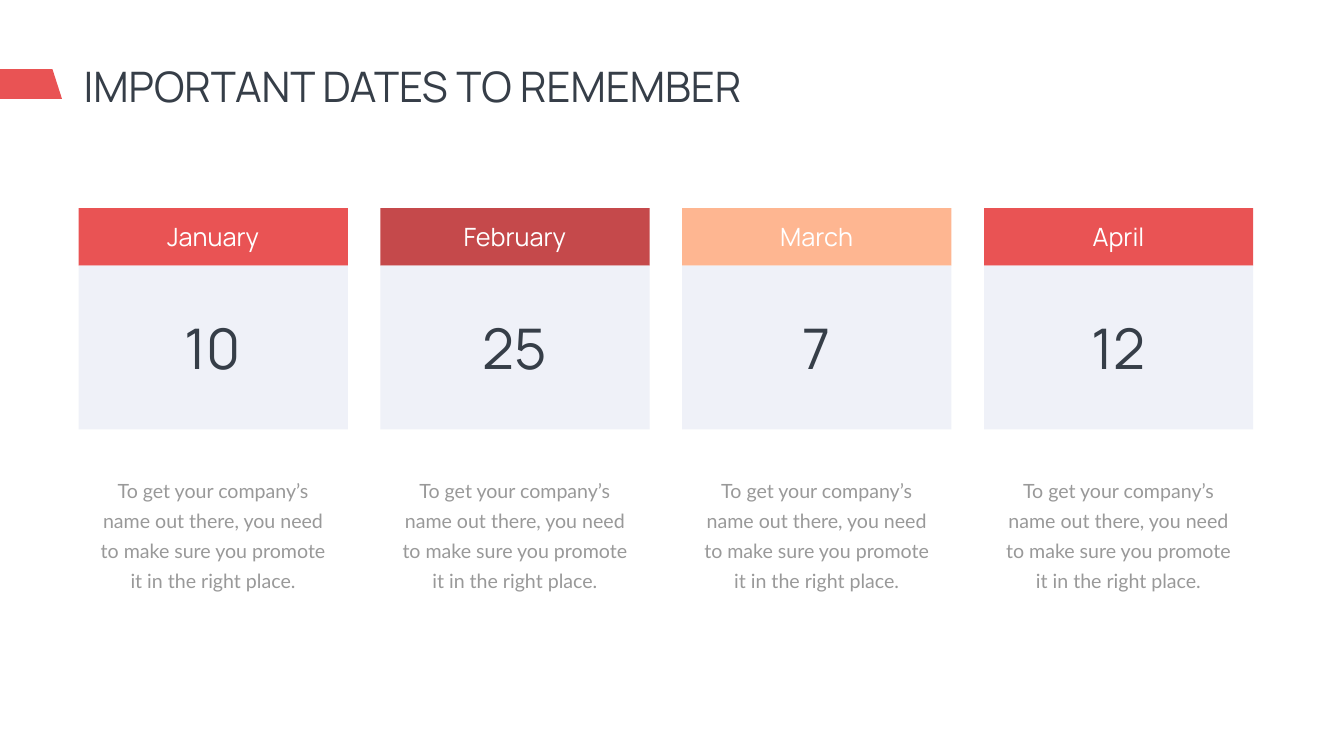
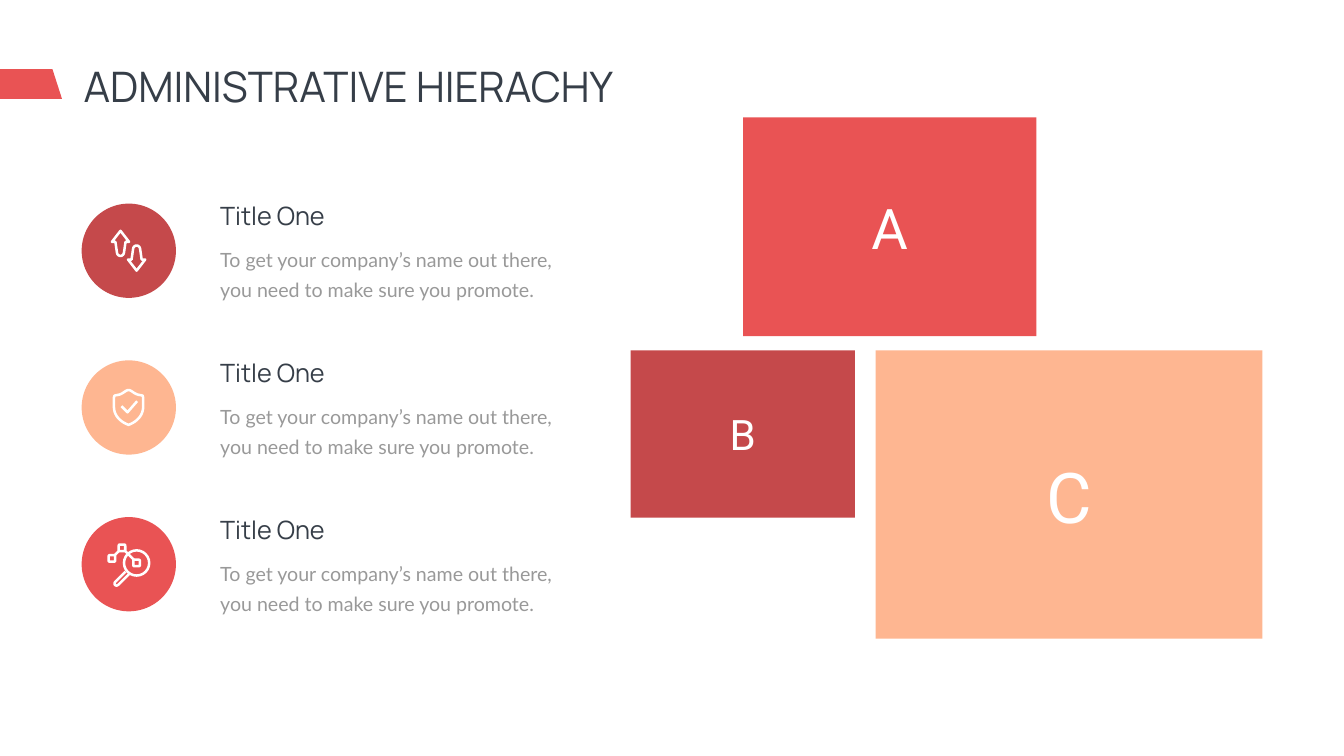
from dataclasses import dataclass

from lxml.etree import SubElement
from pptx import Presentation
from pptx.dml.color import RGBColor
from pptx.enum.shapes import MSO_CONNECTOR, MSO_SHAPE
from pptx.enum.text import MSO_AUTO_SIZE, PP_ALIGN
from pptx.oxml.ns import qn
from pptx.util import Inches, Pt


@dataclass(frozen=True)
class Theme:
    red: str = "E95354"
    crimson: str = "C5494B"
    peach: str = "FEB691"
    pale: str = "EFF1F8"
    dark: str = "363E48"
    grey: str = "999999"
    white: str = "FFFFFF"
    heading_font: str = "Manrope"
    body_font: str = "Lato"
    letter_font: str = "Roboto"
    title_size: int = 60
    label_size: int = 36
    day_size: int = 80
    body_size: int = 28
    body_leading: int = 43
    stroke: float = 3.6


T = Theme()

CARDS = [("January", "10", T.red), ("February", "25", T.crimson),
         ("March", "7", T.peach), ("April", "12", T.red)]
CARD_TEXT = ("To get your company’s name out there, you need to make sure "
             "you promote it in the right place.")
ITEM_TITLE = "Title One"
ITEM_TEXT = "To get your company’s name out there, you need to make sure you promote."
BLOCKS = [("C", 100, T.peach, (17.37, 6.95, 7.67, 5.72)),
          ("B", 60, T.crimson, (12.51, 6.95, 4.45, 3.32)),
          ("A", 80, T.red, (14.74, 2.33, 5.82, 4.34))]


def rgb(color):
    return RGBColor.from_string(color)


def style(sp, fill=None, line=None):
    sp.shadow.inherit = False
    if fill:
        sp.fill.solid()
        sp.fill.fore_color.rgb = rgb(fill)
    else:
        sp.fill.background()
    if line:
        sp.line.color.rgb = rgb(line)
        sp.line.width = Pt(T.stroke)
    else:
        sp.line.fill.background()


def add_preset(shapes, kind, box, fill=None, line=None):
    sp = shapes.add_shape(kind, *map(Inches, box))
    style(sp, fill, line)
    return sp


def add_outline(shapes, points, origin=(0, 0), fill=None, line=None, close=True):
    """Draw a polygon or open path whose points are inches from origin."""
    pts = [(Inches(origin[0] + x), Inches(origin[1] + y)) for x, y in points]
    builder = shapes.build_freeform(*pts[0])
    builder.add_line_segments(pts[1:], close=close)
    style(builder.convert_to_shape(), fill, line)


def add_line(shapes, start, end):
    cx = shapes.add_connector(MSO_CONNECTOR.STRAIGHT, *map(Inches, (*start, *end)))
    cx.line.color.rgb = rgb(T.white)
    cx.line.width = Pt(T.stroke)
    SubElement(cx._element.spPr, qn("a:effectLst"))


def add_text(shapes, box, text, size, color, font=T.heading_font,
             align=PP_ALIGN.LEFT, leading=None, wrap=True):
    tf = shapes.add_textbox(*map(Inches, box)).text_frame
    tf.word_wrap = wrap
    tf.auto_size = MSO_AUTO_SIZE.SHAPE_TO_FIT_TEXT
    p = tf.paragraphs[0]
    p.alignment = align
    if leading:
        p.line_spacing = Pt(leading)
    r = p.add_run()
    r.text = text
    r.font.name = font
    r.font.size = Pt(size)
    r.font.color.rgb = rgb(color)


def add_body(shapes, box, text, align=PP_ALIGN.LEFT):
    add_text(shapes, box, text, T.body_size, T.grey, T.body_font, align, T.body_leading)


def curve(p0, p1, p2, p3, steps=10):
    """Points along a cubic curve."""
    def at(t, axis):
        u = 1 - t
        return (u ** 3 * p0[axis] + 3 * u * u * t * p1[axis]
                + 3 * u * t * t * p2[axis] + t ** 3 * p3[axis])
    return [(at(i / steps, 0), at(i / steps, 1)) for i in range(steps + 1)]


def add_titled_slide(prs, title):
    s = prs.slides.add_slide(prs.slide_layouts[6])
    add_text(s.shapes, (1.56, 1.16, 15.5, 1.11), title, T.title_size, T.dark)
    add_outline(s.shapes, [(1.04, 0), (0, 0), (0, 0.59), (1.23, 0.59)],
                origin=(0, 1.37), fill=T.red)
    return s


def add_date_card(shapes, x, y, width, month, day, color):
    head = 1.14
    center = PP_ALIGN.CENTER
    add_preset(shapes, MSO_SHAPE.RECTANGLE, (x, y, width, head), color)
    add_preset(shapes, MSO_SHAPE.RECTANGLE, (x, y + head, width, 3.25), T.pale)
    add_body(shapes, (x + 0.19, y + 5.19, width - 0.39, 2.46), CARD_TEXT, center)
    inner = x + 0.57, width - 1.15
    add_text(shapes, (inner[0], y + 0.22, inner[1], 0.71), month,
             T.label_size, T.white, align=center)
    add_text(shapes, (inner[0], y + 2.04, inner[1], 1.45), day,
             T.day_size, T.dark, align=center)


def draw_arrows(shapes, x, y):
    up = [(0.2, 0.03), (0.37, 0.25), (0.3, 0.25),
          *curve((0.27, 0.46), (0.26, 0.55), (0.14, 0.55), (0.13, 0.46)),
          (0.1, 0.25), (0.03, 0.25)]
    down = [(0.4 - px, 0.55 - py) for px, py in up]
    add_outline(shapes, up, (x + 0.57, y + 0.51), line=T.white)
    add_outline(shapes, down, (x + 0.89, y + 0.81), line=T.white)


def draw_shield(shapes, x, y):
    tick = [(0.79, 0.91), (0.91, 1.03), (1.1, 0.81)]
    add_outline(shapes, tick, (x, y), line=T.white, close=False)
    right = [*curve((0.31, 0.03), (0.38, 0.03), (0.42, 0.12), (0.55, 0.13)),
             (0.59, 0.14), (0.6, 0.18),
             *curve((0.6, 0.36), (0.6, 0.54), (0.47, 0.66), (0.31, 0.72))]
    left = [(0.62 - px, py) for px, py in reversed(right)]
    add_outline(shapes, right + left, (x + 0.62, y + 0.56), line=T.white)


def draw_magnifier(shapes, x, y):
    def centred(kind, cx, cy, size):
        add_preset(shapes, kind, (x + cx - size / 2, y + cy - size / 2, size, size),
                   line=T.white)

    centred(MSO_SHAPE.OVAL, 1.09, 0.91, 0.5)
    for cx, cy in [(0.6, 0.82), (0.8, 0.61), (1.09, 0.91)]:
        centred(MSO_SHAPE.ROUNDED_RECTANGLE, cx, cy, 0.13)
    add_line(shapes, (x + 0.65, y + 0.76), (x + 0.74, y + 0.67))
    add_line(shapes, (x + 0.86, y + 0.67), (x + 1.04, y + 0.85))
    handle = [(0.87, 1.08),
              *curve((0.67, 1.28), (0.62, 1.33), (0.68, 1.39), (0.73, 1.34)),
              (0.94, 1.13)]
    add_outline(shapes, handle, (x, y), line=T.white, close=False)


def add_item(s, x, y, color, draw_icon):
    text = s.shapes.add_group_shape().shapes
    add_body(text, (x + 2.65, y + 0.7, 7.45, 1.25), ITEM_TEXT)
    add_text(text, (x + 2.65, y - 0.11, 5.2, 0.71), ITEM_TITLE, T.label_size, T.dark)
    badge = s.shapes.add_group_shape().shapes
    add_preset(badge, MSO_SHAPE.OVAL, (x, y, 1.87, 1.87), color)
    draw_icon(badge, x, y)


def add_letter_block(shapes, letter, size, color, box):
    left, top, width, height = box
    add_preset(shapes, MSO_SHAPE.RECTANGLE, box, color)
    w, h = size * 0.01 + 0.3, size * 0.016
    add_text(shapes, (left + (width - w) / 2, top + (height - h) / 2 - 0.07, w, h),
             letter, size, T.white, T.letter_font, PP_ALIGN.CENTER, wrap=False)


def build_dates(prs):
    s = add_titled_slide(prs, "IMPORTANT DATES TO REMEMBER")
    shapes = s.shapes.add_group_shape().shapes
    left, span, width = 1.56, 23.3, 5.34
    pitch = (span - width) / (len(CARDS) - 1)
    for i, card in enumerate(CARDS):
        add_date_card(shapes, left + i * pitch, 4.13, width, *card)


def build_hierarchy(prs):
    s = add_titled_slide(prs, "ADMINISTRATIVE HIERACHY")
    shapes = s.shapes.add_group_shape().shapes
    for block in BLOCKS:
        add_letter_block(shapes, *block)
    items = [(T.crimson, draw_arrows), (T.peach, draw_shield), (T.red, draw_magnifier)]
    for i, (color, draw_icon) in enumerate(items):
        add_item(s, 1.62, 4.04 + i * 3.11, color, draw_icon)


def main():
    prs = Presentation()
    prs.slide_width = Inches(26.66)
    prs.slide_height = Inches(15)
    build_dates(prs)
    build_hierarchy(prs)
    prs.save("out.pptx")


if __name__ == "__main__":
    main()
